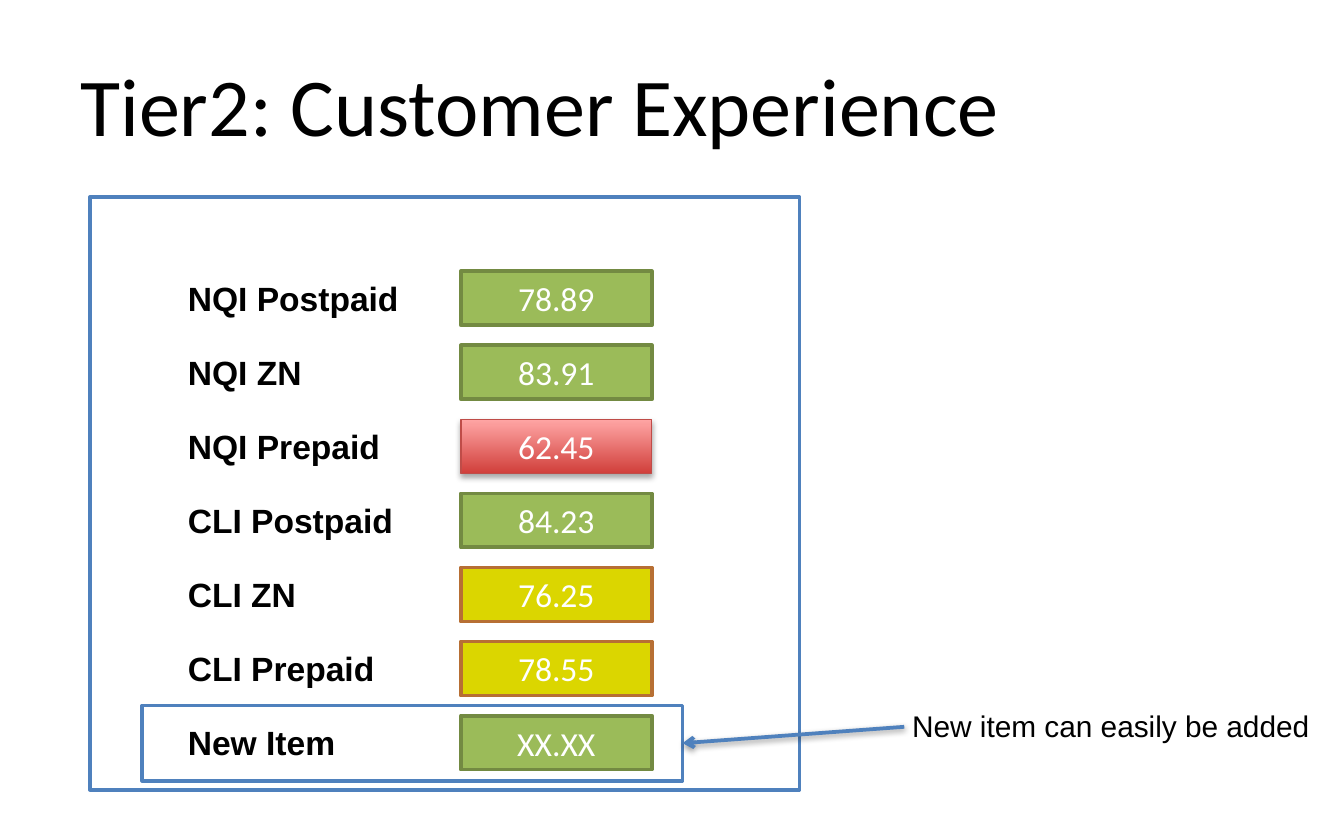
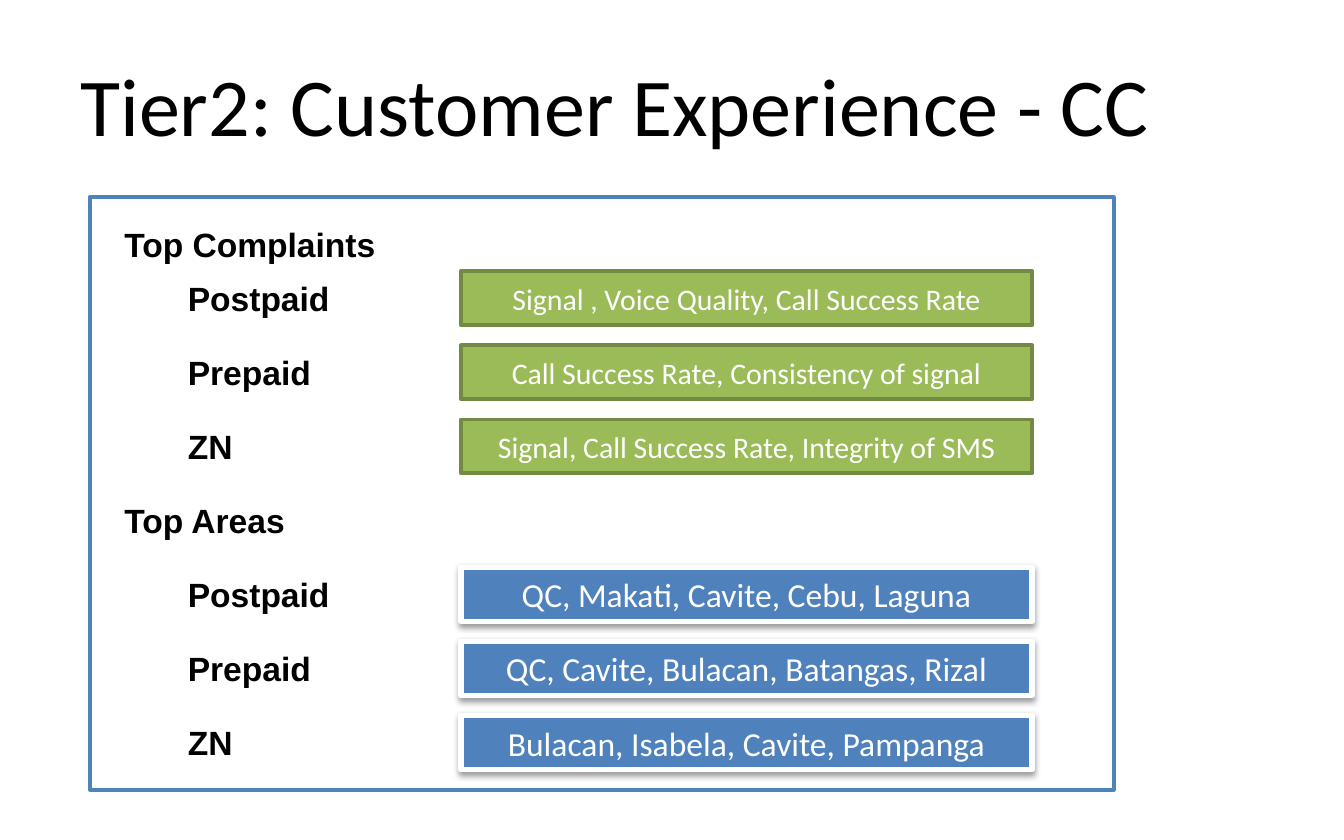
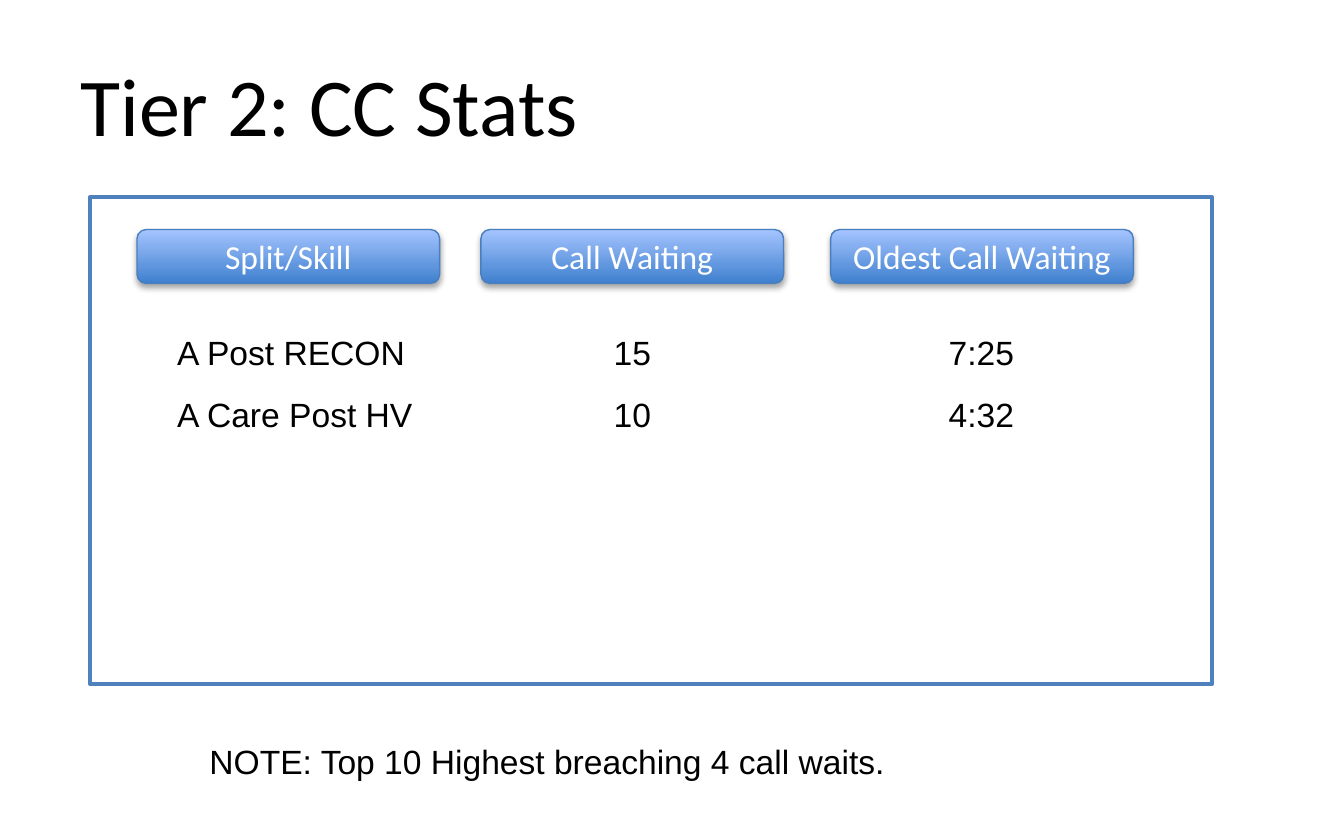
from dataclasses import dataclass
from typing import Optional

from lxml.etree import SubElement
from pptx import Presentation
from pptx.dml.color import RGBColor
from pptx.enum.shapes import MSO_CONNECTOR as Connector, MSO_SHAPE as ShapeKind
from pptx.enum.text import MSO_ANCHOR as Anchor, MSO_AUTO_SIZE as AutoSize, PP_ALIGN as Align
from pptx.oxml.ns import qn
from pptx.util import Cm, Pt

BLUE, BLACK, WHITE = "4F81BD", "000000", "FFFFFF"
PANEL_LEFT, PANEL_TOP = 1.7, 3.73
ROW_TOP, ROW_PITCH, ROW_HEIGHT = 5.13, 1.4, 1.02
LABEL_LEFT, BADGE_LEFT = 3.3, 8.71
STATS_TOP, STATS_PITCH = 6.15, 1.17


@dataclass(frozen=True)
class Box:
    left: float
    top: float
    width: float
    height: float = ROW_HEIGHT

    def lengths(self):
        return [Cm(value) for value in (self.left, self.top, self.width, self.height)]


@dataclass(frozen=True)
class Shadow:
    distance: int
    opacity: int


@dataclass(frozen=True)
class Style:
    """Fill, outline and shadow; fill_top turns the fill into an upward gradient."""
    fill: str
    line: str
    line_width: float = 2
    fill_top: Optional[str] = None
    shadow: Optional[Shadow] = None


@dataclass(frozen=True)
class Row:
    label: str
    label_width: float
    value: str
    style: Style
    size: int = 18


@dataclass(frozen=True)
class Column:
    heading: str
    heading_left: float
    cell_left: float
    cell_width: float
    cells: tuple[str, ...]


SOFT = Shadow(20000, 38)
DEEP = Shadow(23000, 35)
FRAME = Style(WHITE, BLUE)
GOOD = Style("9BBB59", "738A42")
WARNING = Style("DBD600", "B76F34")
BAD = Style("D1403C", "BF4C48", 0.75, "FFA6A5", DEEP)
AREA = Style(BLUE, WHITE, 3, shadow=SOFT)
HEADING = Style("3F80CE", "4B7EBC", 0.75, "A4C4FF", DEEP)

INDEX_ROWS = [
    Row("NQI Postpaid", 4.55, "78.89", GOOD),
    Row("NQI ZN", 2.77, "83.91", GOOD),
    Row("NQI Prepaid", 4.19, "62.45", BAD),
    Row("CLI Postpaid", 4.42, "84.23", GOOD),
    Row("CLI ZN", 2.64, "76.25", WARNING),
    Row("CLI Prepaid", 4.06, "78.55", WARNING),
    Row("New Item", 3.33, "XX.XX", GOOD),
]
COMPLAINT_ROWS = [
    Row("Postpaid", 3.23, "Signal , Voice Quality, Call Success Rate", GOOD, 16),
    Row("Prepaid", 2.87, "Call Success Rate, Consistency of signal", GOOD, 16),
    Row("ZN", 1.45, "Signal, Call Success Rate, Integrity of SMS", GOOD, 16),
]
AREA_ROWS = [
    Row("Postpaid", 3.23, "QC, Makati, Cavite, Cebu, Laguna", AREA),
    Row("Prepaid", 2.87, "QC, Cavite, Bulacan, Batangas, Rizal", AREA),
    Row("ZN", 1.45, "Bulacan, Isabela, Cavite, Pampanga", AREA),
]
STATS_COLUMNS = [
    Column("Split/Skill", 2.59, 3.1, 4.95, ("A Post RECON", "A Care Post HV")),
    Column("Call Waiting", 9.09, 11.35, 1.22, ("15", "10")),
    Column("Oldest Call Waiting", 15.7, 17.68, 1.75, ("7:25", "4:32")),
]


def color(hex_code: str) -> RGBColor:
    return RGBColor.from_string(hex_code)


def write(frame, text: str, *, size: float = 18, font: str = "Arial",
          ink: str = BLACK, bold: bool = False, align=Align.LEFT) -> None:
    paragraph = frame.paragraphs[0]
    paragraph.alignment = align
    run = paragraph.add_run()
    run.text = text
    run.font.size, run.font.name, run.font.bold = Pt(size), font, bold
    run.font.color.rgb = color(ink)


def add_text(slide, box: Box, text: str, **text_format) -> None:
    frame = slide.shapes.add_textbox(*box.lengths()).text_frame
    frame.word_wrap = False
    frame.auto_size = AutoSize.SHAPE_TO_FIT_TEXT
    write(frame, text, **text_format)


def add_shadow(effects, shadow: Shadow) -> None:
    outer = SubElement(effects, qn("a:outerShdw"), blurRad="40000",
                       dist=str(shadow.distance), dir="5400000", rotWithShape="0")
    ink = SubElement(outer, qn("a:srgbClr"), val=BLACK)
    SubElement(ink, qn("a:alpha"), val=str(shadow.opacity * 1000))


def add_panel(slide, box: Box, style: Style = FRAME, kind=ShapeKind.RECTANGLE):
    shape = slide.shapes.add_shape(kind, *box.lengths())
    if style.fill_top:
        shape.fill.gradient()
        shape.fill.gradient_angle = 90
        for stop, shade in zip(shape.fill.gradient_stops, (style.fill, style.fill_top)):
            stop.color.rgb = color(shade)
    else:
        shape.fill.solid()
        shape.fill.fore_color.rgb = color(style.fill)
    shape.line.color.rgb = color(style.line)
    shape.line.width = Pt(style.line_width)
    shape.shadow.inherit = False
    if style.shadow:
        add_shadow(shape.element.spPr.find(qn("a:effectLst")), style.shadow)
    return shape


def add_badge(slide, box: Box, text: str, style: Style, size: float = 18,
              kind=ShapeKind.RECTANGLE) -> None:
    frame = add_panel(slide, box, style, kind).text_frame
    frame.word_wrap = True
    frame.vertical_anchor = Anchor.MIDDLE
    write(frame, text, size=size, font="Calibri", ink=WHITE, align=Align.CENTER)


def add_rows(slide, rows: list[Row], badge_width: float, first: int = 0) -> None:
    """Draw labelled badges, starting at the given line of the row grid."""
    for index, row in enumerate(rows, first):
        top = ROW_TOP + index * ROW_PITCH
        add_badge(slide, Box(BADGE_LEFT, top, badge_width), row.value, row.style, row.size)
        add_text(slide, Box(LABEL_LEFT, top, row.label_width), row.label, bold=True)


def add_arrow(slide, start: tuple[float, float], target) -> None:
    """Draw an arrow from a point to the right side of the target."""
    x, y = (Cm(value) for value in start)
    arrow = slide.shapes.add_connector(Connector.STRAIGHT, x, y, x, y)
    arrow.end_connect(target, 3)
    arrow.line.color.rgb = color(BLUE)
    arrow.line.width = Pt(2)
    properties = arrow.element.spPr
    SubElement(properties.find(qn("a:ln")), qn("a:tailEnd"), type="arrow")
    add_shadow(SubElement(properties, qn("a:effectLst")), SOFT)


def add_slide(presentation, title: str, panel_width: float, panel_height: float = 11.2):
    slide = presentation.slides.add_slide(presentation.slide_layouts[6])
    frame = slide.shapes.add_textbox(*Box(1.27, 0.64, 22.86, 2.64).lengths()).text_frame
    frame.word_wrap = True
    frame.vertical_anchor = Anchor.MIDDLE
    write(frame, title, size=44, font="Calibri")
    add_panel(slide, Box(PANEL_LEFT, PANEL_TOP, panel_width, panel_height))
    return slide


def build_experience(presentation) -> None:
    slide = add_slide(presentation, "Tier2: Customer Experience", 13.41)
    new_item = add_panel(slide, Box(2.69, 13.34, 10.21, 1.42))
    add_rows(slide, INDEX_ROWS, 3.61)
    add_arrow(slide, (17.09, 13.74), new_item)
    add_text(slide, Box(16.99, 13.26, 8.1, 0.94), "New item can easily be added", size=16)


def build_call_center(presentation) -> None:
    slide = add_slide(presentation, "Tier2: Customer Experience - CC", 19.35)
    add_text(slide, Box(2.1, 4.11, 5.31), "Top Complaints", bold=True)
    add_rows(slide, COMPLAINT_ROWS, 10.8)
    add_text(slide, Box(2.1, ROW_TOP + 3 * ROW_PITCH, 3.58), "Top Areas", bold=True)
    add_rows(slide, AREA_ROWS, 10.8, first=4)


def build_stats(presentation) -> None:
    slide = add_slide(presentation, "Tier 2: CC Stats", 21.21, 9.2)
    for column in STATS_COLUMNS:
        add_badge(slide, Box(column.heading_left, 4.34, 5.72), column.heading, HEADING,
                  kind=ShapeKind.ROUNDED_RECTANGLE)
        for index, cell in enumerate(column.cells):
            top = STATS_TOP + index * STATS_PITCH
            add_text(slide, Box(column.cell_left, top, column.cell_width), cell)
    add_text(slide, Box(3.71, 13.89, 13.39), "NOTE: Top 10 Highest breaching 4 call waits.")


def main() -> None:
    presentation = Presentation()
    presentation.slide_width, presentation.slide_height = Cm(25.4), Cm(15.88)
    build_experience(presentation)
    build_call_center(presentation)
    build_stats(presentation)
    presentation.save("out.pptx")


if __name__ == "__main__":
    main()
